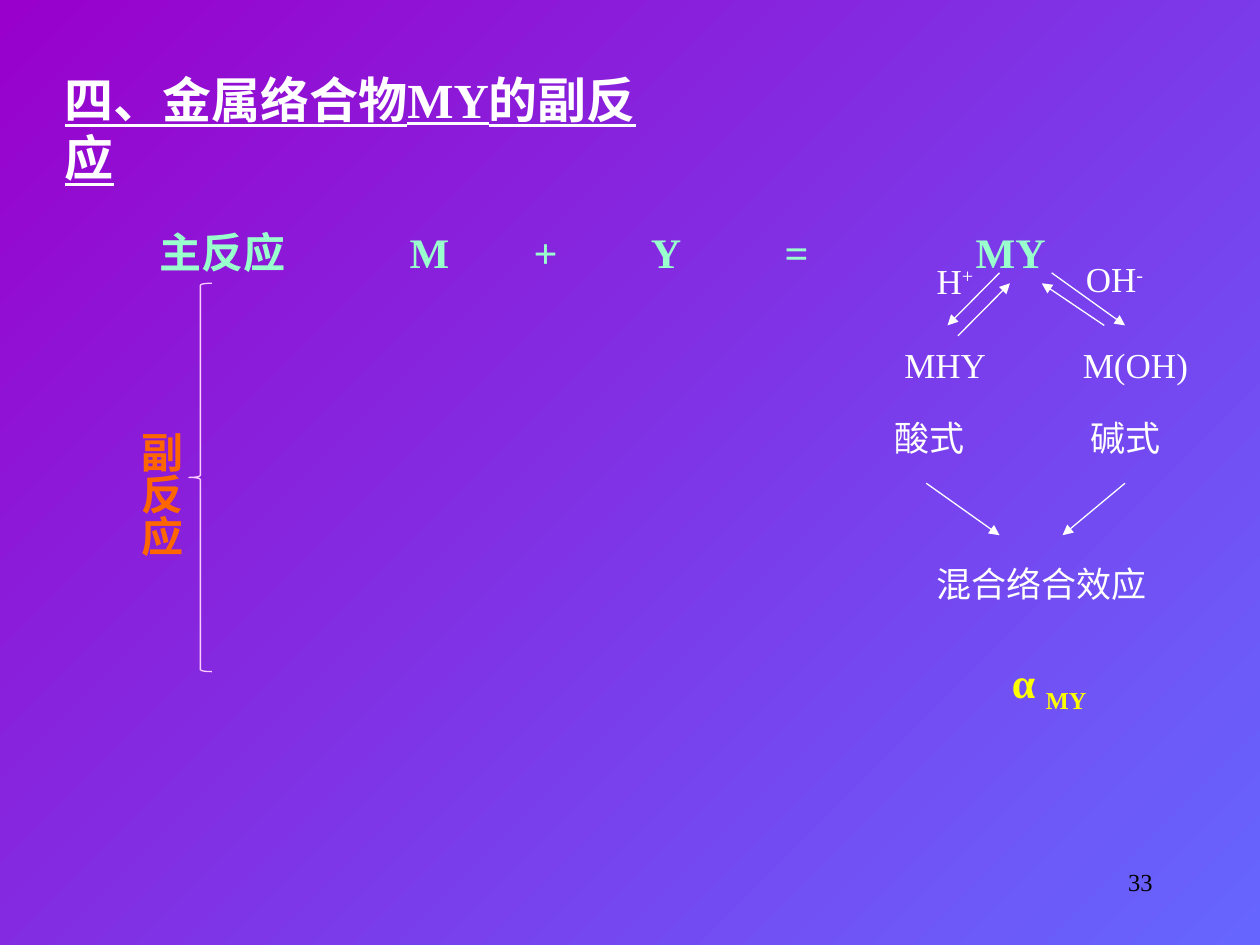
from lxml.etree import SubElement
from pptx import Presentation
from pptx.dml.color import RGBColor
from pptx.enum.shapes import MSO_CONNECTOR, MSO_SHAPE
from pptx.enum.text import MSO_AUTO_SIZE, PP_ALIGN
from pptx.oxml.ns import qn
from pptx.util import Cm, Pt

FONT = "Times New Roman"
SUPERSCRIPT, SUBSCRIPT = 30, -25
COLORS = {
    "top": "9900CC",
    "bottom": "6666FF",
    "text": "FFFFFF",
    "main": "99FFCC",
    "side": "FF6600",
    "alpha": "FFFF00",
    "brace": "FFCCFF",
    "number": "000000",
}


def color(name):
    return RGBColor.from_string(COLORS[name])


def paint_background(slide):
    fill = slide.background.fill
    fill.gradient()
    fill.gradient_angle = 315
    for stop, name in zip(fill.gradient_stops, ("top", "bottom")):
        stop.color.rgb = color(name)


def add_tabs(paragraph, positions):
    tab_list = SubElement(paragraph._p.get_or_add_pPr(), qn("a:tabLst"))
    for position in positions:
        SubElement(tab_list, qn("a:tab"), pos=str(Cm(position)), algn="l")


def add_text(slide, text, left, top, width, height, size=20, fill="text", bold=False,
             underline=False, wrap=False, grow=True, tabs=(), align=None, vertical=False,
             script="", baseline=0):
    """Add a text box; script is a raised or lowered ending, set by baseline."""
    box = slide.shapes.add_textbox(Cm(left), Cm(top), Cm(width), Cm(height))
    frame = box.text_frame
    frame.word_wrap = wrap
    frame.auto_size = MSO_AUTO_SIZE.SHAPE_TO_FIT_TEXT if grow else MSO_AUTO_SIZE.NONE
    if vertical:
        frame._txBody.bodyPr.set("vert", "eaVert")
    paragraph = frame.paragraphs[0]
    if tabs:
        add_tabs(paragraph, tabs)
    if align is not None:
        paragraph.alignment = align
    for content, offset in ((text, 0), (script, baseline)):
        if not content:
            continue
        run = paragraph.add_run()
        run.text = content
        font = run.font
        font.name, font.size = FONT, Pt(size)
        font.bold, font.underline = bold, underline
        font.color.rgb = color(fill)
        if offset:
            run._r.get_or_add_rPr().set("baseline", str(offset * 1000))


def add_arrow(slide, start_x, start_y, end_x, end_y):
    arrow = slide.shapes.add_connector(
        MSO_CONNECTOR.STRAIGHT, Cm(start_x), Cm(start_y), Cm(end_x), Cm(end_y))
    arrow.line.color.rgb = color("text")
    arrow.line.width = Pt(0.75)
    SubElement(arrow.line._get_or_add_ln(), qn("a:tailEnd"), type="triangle")
    SubElement(arrow._element.spPr, qn("a:effectLst"))


def add_brace(slide, left, top, width, height):
    brace = slide.shapes.add_shape(
        MSO_SHAPE.LEFT_BRACE, Cm(left), Cm(top), Cm(width), Cm(height))
    brace.shadow.inherit = False
    brace.fill.background()
    brace.line.color.rgb = color("brace")
    brace.line.width = Pt(0.75)


def add_side_reactions(slide):
    add_text(slide, "H", 18.63, 5.1, 1.3, 1.1, script="+", baseline=SUPERSCRIPT)
    add_text(slide, "OH", 21.64, 5.07, 1.67, 1.1, script="-", baseline=SUPERSCRIPT)
    add_text(slide, "MHY", 17.98, 6.81, 2.16, 1.1)
    add_text(slide, "M(OH)", 21.58, 6.81, 2.63, 1.1)
    add_text(slide, "酸式\t碱式", 17.78, 8.28, 6.15, 1.1, wrap=True, tabs=[3.96])
    add_text(slide, "混合络合效应", 18.63, 11.21, 4.75, 1.1, wrap=True)
    add_text(slide, "α ", 20.15, 13.11, 2.18, 1.27, size=24, fill="alpha", bold=True,
             script="MY", baseline=SUBSCRIPT)
    for ends in (
        (20.15, 5.5, 19.1, 6.56), (19.31, 6.77, 20.36, 5.71),
        (21.2, 5.5, 22.68, 6.56), (22.26, 6.56, 21.0, 5.71),
        (18.67, 9.74, 20.15, 10.79), (22.68, 9.74, 21.42, 10.79),
    ):
        add_arrow(slide, *ends)


def main():
    presentation = Presentation()
    presentation.slide_width, presentation.slide_height = Cm(25.4), Cm(19.05)
    slide = presentation.slides.add_slide(presentation.slide_layouts[6])
    paint_background(slide)

    add_text(slide, "四、金属络合物MY的副反应", 1.06, 1.27, 12.95, 1.45, size=28,
             bold=True, underline=True, wrap=True)
    add_text(slide, "主反应\tM\t+\tY\t=\tMY", 2.97, 4.45, 18.5, 1.27, size=24,
             fill="main", bold=True, wrap=True, tabs=[5.04, 7.54, 9.9, 12.6, 16.45])
    add_side_reactions(slide)
    add_brace(slide, 3.81, 5.71, 0.46, 7.83)
    add_text(slide, "副反应", 2.36, 8.46, 1.52, 2.77, size=24, fill="side", bold=True,
             vertical=True)
    add_text(slide, "33", 18.2, 17.36, 5.29, 1.27, size=14, fill="number", wrap=True,
             grow=False, align=PP_ALIGN.RIGHT)
    presentation.save("out.pptx")


if __name__ == "__main__":
    main()
